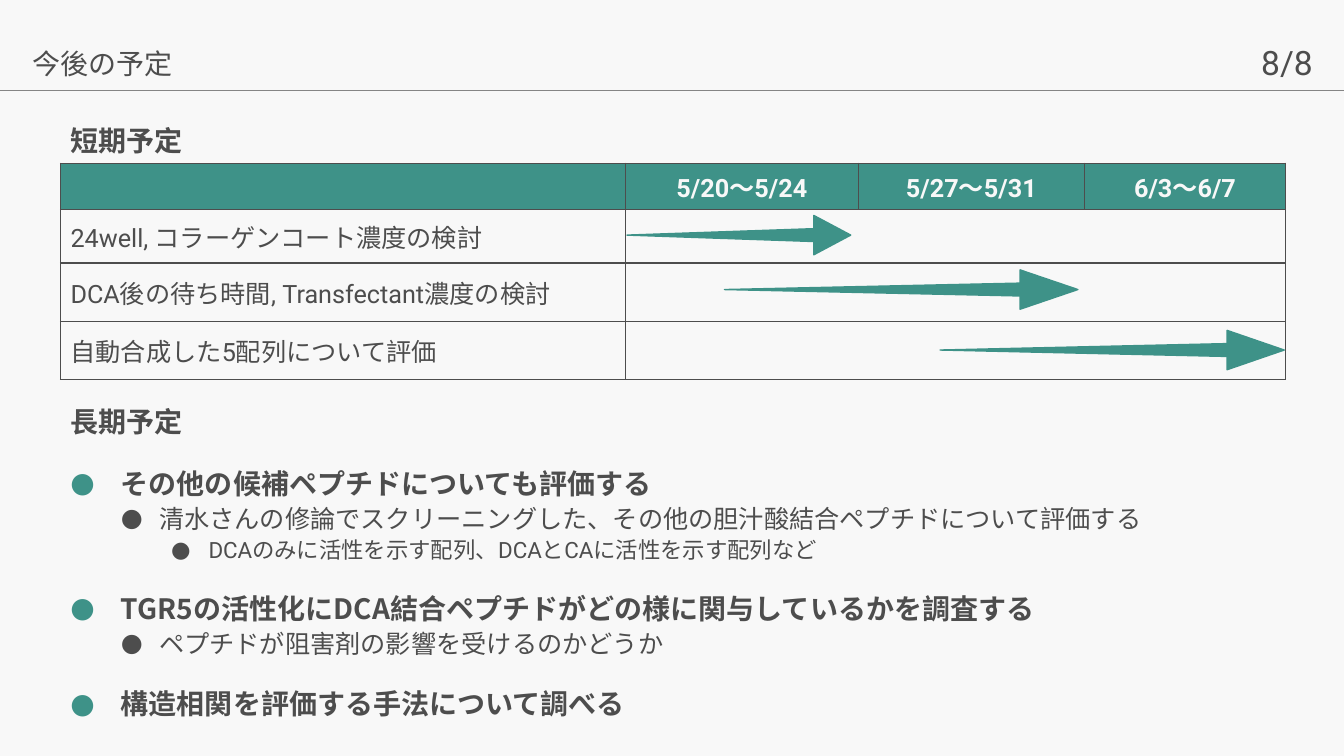
from lxml import etree
from pptx import Presentation, util as u
from pptx.dml.color import RGBColor
from pptx.enum import shapes, text
from pptx.oxml import ns

INK = RGBColor(0x4D, 0x4D, 0x4D)
PAPER = RGBColor(0xF8, 0xF8, 0xF8)
TEAL = RGBColor(0x3E, 0x92, 0x88)
RULE = RGBColor(0x85, 0x85, 0x85)
CJK, LATIN = "Noto Sans CJK JP", "Roboto"

PERIODS = ["", "5/20〜5/24", "5/27〜5/31", "6/3〜6/7"]
TASKS = [
    "24well, コラーゲンコート濃度の検討",
    "DCA後の待ち時間, Transfectant濃度の検討",
    "自動合成した5配列について評価",
]
COLUMN_WIDTHS = [42.05, 17.3, 16.85, 14.95]
ROW_HEIGHTS = [6.1, 7.1, 7.7, 7.7]
# start, neck and tip across the slide, then the height of the axis
ARROWS = [
    (46.65, 60.55, 63.3, 31.1),
    (53.9, 75.9, 80.2, 38.3),
    (69.95, 91.3, 95.55, 46.3),
]

HEAD = dict(size=20, bold=True, before=18, leading=1.1)
# One format for each outline level
LEVELS = [
    dict(HEAD, bullet=(0.5, 0.5), bullet_color=TEAL),
    dict(size=18, leading=1.1, level=1, bullet=(0.88, 0.38)),
    dict(size=16, leading=1.1, level=2, bullet=(1.37, 0.37), font=LATIN),
]
LONG_TERM = [
    (0, "その他の候補ペプチドについても評価する"),
    (1, "清水さんの修論でスクリーニングした、その他の胆汁酸結合ペプチドについて評価する"),
    (2, "DCAのみに活性を示す配列、DCAとCAに活性を示す配列など"),
    (0, "TGR5の活性化にDCA結合ペプチドがどの様に関与しているかを調査する"),
    (1, "ペプチドが阻害剤の影響を受けるのかどうか"),
    (0, "構造相関を評価する手法について調べる"),
]


def add_xml(parent, tag, **attrs):
    return etree.SubElement(parent, ns.qn(tag), attrs)


def write(p, words, size=18, color=INK, bold=False, font=CJK, align=None,
          before=0, leading=1, level=0, bullet=None, bullet_color=INK):
    """Fill paragraph p; bullet is (indent, hanging) in inches."""
    r = p.add_run()
    r.text = words
    r.font.size, r.font.bold, r.font.name = u.Pt(size), bold, font
    r.font.color.rgb = color
    add_xml(r.font._element, "a:ea", typeface=CJK)
    p.alignment, p.level = align, level
    p.space_before, p.line_spacing = u.Pt(before), leading
    if bullet:
        pPr = p._p.get_or_add_pPr()
        indent, hanging = bullet
        pPr.set("marL", str(u.Inches(indent)))
        pPr.set("indent", str(-u.Inches(hanging)))
        add_xml(add_xml(pPr, "a:buClr"), "a:srgbClr", val=str(bullet_color))
        add_xml(pPr, "a:buFont", typeface=LATIN)
        add_xml(pPr, "a:buChar", char="●")


def set_borders(cell, sides):
    tcPr = cell._tc.get_or_add_tcPr()
    for i, side in enumerate("LRTB"):
        ln = etree.Element(ns.qn("a:ln" + side), w=str(u.Pt(1)))
        if side in sides:
            add_xml(add_xml(ln, "a:solidFill"), "a:srgbClr", val=str(INK))
        else:
            add_xml(ln, "a:noFill")
        tcPr.insert(i, ln)


class Deck:
    """Places elements on a slide, in percent of its width and height."""

    def __init__(self):
        self.prs = Presentation()
        self.prs.slide_width, self.prs.slide_height = u.Inches(13.33), u.Inches(7.5)
        self.slide = self.prs.slides.add_slide(self.prs.slide_layouts[6])
        fill = self.slide.background.fill
        fill.solid()
        fill.fore_color.rgb = PAPER

    def x(self, share):
        return round(self.prs.slide_width * share / 100)

    def y(self, share):
        return round(self.prs.slide_height * share / 100)

    def text(self, left, top, width, height, *paragraphs):
        """Each paragraph is a pair of words and format."""
        sp = self.slide.shapes.add_textbox(
            self.x(left), self.y(top), self.x(width), self.y(height))
        tf = sp.text_frame
        tf.word_wrap = True
        for i, (words, style) in enumerate(paragraphs):
            p = tf.add_paragraph() if i else tf.paragraphs[0]
            write(p, words, **style)

    def rule(self, top):
        line = self.slide.shapes.add_connector(
            shapes.MSO_CONNECTOR.STRAIGHT, 0, self.y(top), self.x(100), self.y(top))
        line.line.color.rgb, line.line.width = RULE, u.Pt(1)
        add_xml(line._element.spPr, "a:effectLst")

    def schedule(self, left, top):
        table = self.slide.shapes.add_table(
            len(ROW_HEIGHTS), len(COLUMN_WIDTHS), self.x(left), self.y(top),
            self.x(sum(COLUMN_WIDTHS)), self.y(sum(ROW_HEIGHTS))).table
        table.first_row = table.horz_banding = False
        for column, width in zip(table.columns, COLUMN_WIDTHS):
            column.width = self.x(width)
        for row, height in zip(table.rows, ROW_HEIGHTS):
            row.height = self.y(height)
        last = len(COLUMN_WIDTHS) - 1
        for i, words in enumerate([PERIODS] + [[t] + [""] * last for t in TASKS]):
            for j, label in enumerate(words):
                cell = table.cell(i, j)
                cell.vertical_anchor = text.MSO_ANCHOR.MIDDLE
                cell.fill.solid()
                cell.fill.fore_color.rgb = PAPER if i else TEAL
                style = {} if i else dict(
                    color=PAPER, bold=True, align=text.PP_ALIGN.CENTER)
                if label:
                    write(cell.text_frame.paragraphs[0], label, font=LATIN, **style)
                # The time area below the header has an outer frame only
                left_side = "L" if i == 0 or j <= 1 else ""
                right_side = "R" if i == 0 or j in (0, last) else ""
                set_borders(cell, "TB" + left_side + right_side)

    def arrow(self, start, neck, tip, axis, head=5.2, shaft=1.7):
        """A tapering shaft and a head, each a triangle on its side."""
        group = self.slide.shapes.add_group_shape()
        for x1, x2, thick, turn in ((neck, tip, head, 90), (start, neck, shaft, 270)):
            length, breadth = self.x(x2 - x1), self.y(thick)
            sp = group.shapes.add_shape(
                shapes.MSO_SHAPE.ISOSCELES_TRIANGLE,
                self.x((x1 + x2) / 2) - breadth // 2, self.y(axis) - length // 2,
                breadth, length)
            sp.rotation = turn
            sp.shadow.inherit = False
            sp.fill.solid()
            sp.fill.fore_color.rgb = sp.line.color.rgb = TEAL
            sp.line.width = u.Pt(1)


def main():
    deck = Deck()
    deck.text(93.1, 4.9, 6.9, 6.7, ("8/8", dict(size=24, font=LATIN)))
    deck.rule(12)
    deck.text(4.5, 15.2, 91, 6.8, ("短期予定", HEAD))
    deck.text(1.7, 5.1, 94, 6.8, ("今後の予定", dict(HEAD, bold=False)))
    deck.schedule(4.5, 21.6)
    deck.text(4.5, 52.4, 91, 45.6, ("長期予定", HEAD),
              *((words, LEVELS[level]) for level, words in LONG_TERM))
    for arrow in ARROWS:
        deck.arrow(*arrow)
    deck.prs.save("out.pptx")


if __name__ == "__main__":
    main()
